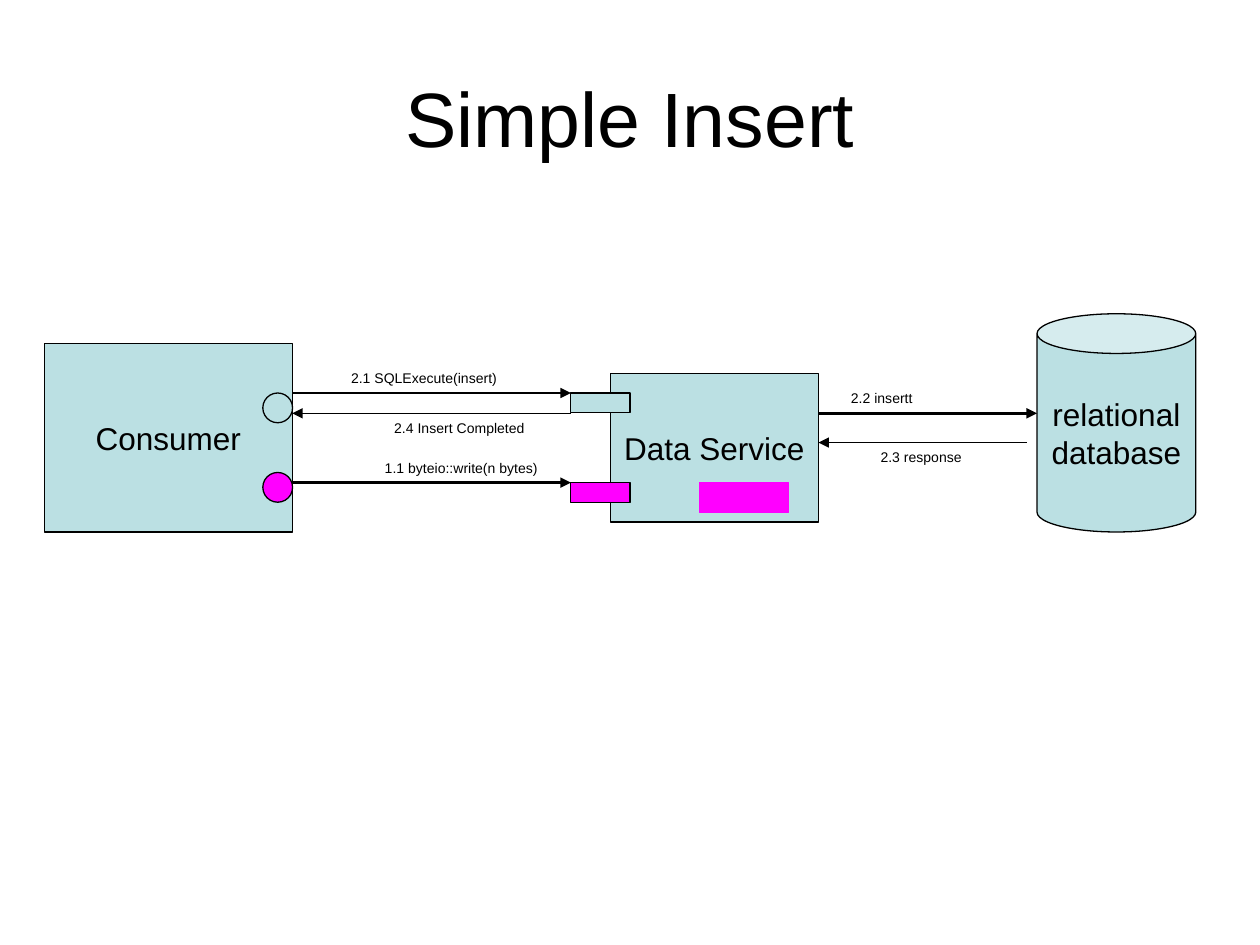
from dataclasses import dataclass

import lxml.etree
import pptx
import pptx.dml.color
import pptx.enum.shapes
import pptx.enum.text
import pptx.oxml.ns
import pptx.util

Pt = pptx.util.Pt
RGB = pptx.dml.color.RGBColor
SHAPE = pptx.enum.shapes.MSO_SHAPE
ALIGN = pptx.enum.text.PP_ALIGN
ANCHOR = pptx.enum.text.MSO_ANCHOR
AUTO = pptx.enum.text.MSO_AUTO_SIZE


@dataclass(frozen=True)
class Theme:
    font: str = "Arial"
    ink: RGB = RGB(0x00, 0x00, 0x00)
    teal: RGB = RGB(0xBB, 0xE0, 0xE3)
    magenta: RGB = RGB(0xFF, 0x00, 0xFF)
    title: float = 44
    body: float = 18
    label: float = 8
    thin: float = 0.75
    thick: float = 2


@dataclass(frozen=True)
class Node:
    kind: SHAPE
    x: float
    y: float
    w: float
    h: float
    fill: RGB
    line: RGB
    lines: tuple[str, ...] = ()


@dataclass(frozen=True)
class Arrow:
    x1: float
    x2: float
    y: float
    weight: float


@dataclass(frozen=True)
class Label:
    text: str
    x: float
    y: float
    w: float


T = Theme()
LABEL_H = 17
PORT_X, PORT_W, PORT_H = 326.2, 33.8, 11.3
CIRCLE_X, CIRCLE_D = 150.2, 17
CONSUMER_RIGHT, SERVICE_RIGHT, DATABASE_LEFT = 167, 467.7, 592.6
REQUEST_Y, REPLY_Y, WRITE_Y, RESPONSE_Y = 224.6, 236.2, 275.8, 252.9

SYSTEMS = [
    Node(SHAPE.RECTANGLE, 348.7, 213.3, 119, 85, T.teal, T.ink, ("Data Service",)),
    Node(SHAPE.CAN, DATABASE_LEFT, 179.3, 90.7, 124.7, T.teal, T.ink,
         ("relational", "database")),
    Node(SHAPE.RECTANGLE, PORT_X, REQUEST_Y, PORT_W, PORT_H, T.teal, T.ink),
    Node(SHAPE.RECTANGLE, PORT_X, WRITE_Y, PORT_W, PORT_H, T.magenta, T.ink),
]
CONSUMER = Node(SHAPE.RECTANGLE, 25.3, 196.3, 141.7, 107.8, T.teal, T.ink, ("Consumer",))
MARKERS = [
    Node(SHAPE.RECTANGLE, 399.6, WRITE_Y, 51, 17, T.magenta, T.magenta),
    Node(SHAPE.OVAL, CIRCLE_X, REQUEST_Y, CIRCLE_D, CIRCLE_D, T.teal, T.ink),
    Node(SHAPE.OVAL, CIRCLE_X, 270, CIRCLE_D, CIRCLE_D, T.magenta, T.ink),
]
ARROWS = [
    Arrow(161.3, PORT_X, REQUEST_Y, T.thin),
    Arrow(SERVICE_RIGHT, DATABASE_LEFT, REPLY_Y, T.thick),
    Arrow(586.8, SERVICE_RIGHT, RESPONSE_Y, T.thin),
    Arrow(PORT_X, CONSUMER_RIGHT, REPLY_Y, T.thin),
    Arrow(CONSUMER_RIGHT, PORT_X, WRITE_Y, T.thick),
]
LABELS = [
    Label("2.1 SQLExecute(insert)", 193.5, REQUEST_Y - LABEL_H, 101),
    Label("2.2 insertt", 479.2, REPLY_Y - LABEL_H, 53),
    Label("2.3 response", 496.1, RESPONSE_Y, 64),
    Label("2.4 Insert Completed", 218.2, REPLY_Y, 92),
    Label("1.1 byteio::write(n bytes)", 212.8, WRITE_Y - LABEL_H, 105),
]


def set_attrs(obj, values: dict) -> None:
    for name, value in values.items():
        setattr(obj, name, value)


def write(tf, lines: tuple[str, ...], size: float, align: ALIGN, frame: dict) -> None:
    set_attrs(tf, frame)
    for i, text in enumerate(lines):
        p = tf.add_paragraph() if i else tf.paragraphs[0]
        p.alignment = align
        r = p.add_run()
        r.text = text
        set_attrs(r.font, {"name": T.font, "size": Pt(size)})
        r.font.color.rgb = T.ink


def draw_node(s, node: Node) -> None:
    sp = s.shapes.add_shape(node.kind, Pt(node.x), Pt(node.y), Pt(node.w), Pt(node.h))
    sp.shadow.inherit = False
    sp.fill.solid()
    sp.fill.fore_color.rgb = node.fill
    sp.line.color.rgb = node.line
    sp.line.width = Pt(T.thin)
    if node.lines:
        write(sp.text_frame, node.lines, T.body, ALIGN.CENTER,
              {"word_wrap": False, "vertical_anchor": ANCHOR.MIDDLE})


def draw_arrow(s, arrow: Arrow) -> None:
    sp = s.shapes.add_connector(pptx.enum.shapes.MSO_CONNECTOR.STRAIGHT,
                                Pt(arrow.x1), Pt(arrow.y), Pt(arrow.x2), Pt(arrow.y))
    sp.line.color.rgb = T.ink
    sp.line.width = Pt(arrow.weight)
    qn = pptx.oxml.ns.qn
    lxml.etree.SubElement(sp.line._get_or_add_ln(), qn("a:tailEnd"), type="triangle")
    lxml.etree.SubElement(sp._element.spPr, qn("a:effectLst"))


def draw_label(s, label: Label) -> None:
    sp = s.shapes.add_textbox(Pt(label.x), Pt(label.y), Pt(label.w), Pt(LABEL_H))
    write(sp.text_frame, (label.text,), T.label, ALIGN.LEFT,
          {"word_wrap": True, "auto_size": AUTO.SHAPE_TO_FIT_TEXT})


def draw_title(s, text: str) -> None:
    sp = s.shapes.add_textbox(Pt(36), Pt(21.6), Pt(648), Pt(90))
    write(sp.text_frame, (text,), T.title, ALIGN.CENTER,
          {"word_wrap": True, "vertical_anchor": ANCHOR.MIDDLE})


def main() -> None:
    prs = pptx.Presentation()
    set_attrs(prs, {"slide_width": Pt(720), "slide_height": Pt(540)})
    s = prs.slides.add_slide(prs.slide_layouts[6])
    draw_title(s, "Simple Insert")
    for node in SYSTEMS:
        draw_node(s, node)
    for arrow in ARROWS:
        draw_arrow(s, arrow)
    draw_node(s, CONSUMER)
    for label in LABELS:
        draw_label(s, label)
    for node in MARKERS:
        draw_node(s, node)
    prs.save("out.pptx")


if __name__ == "__main__":
    main()
